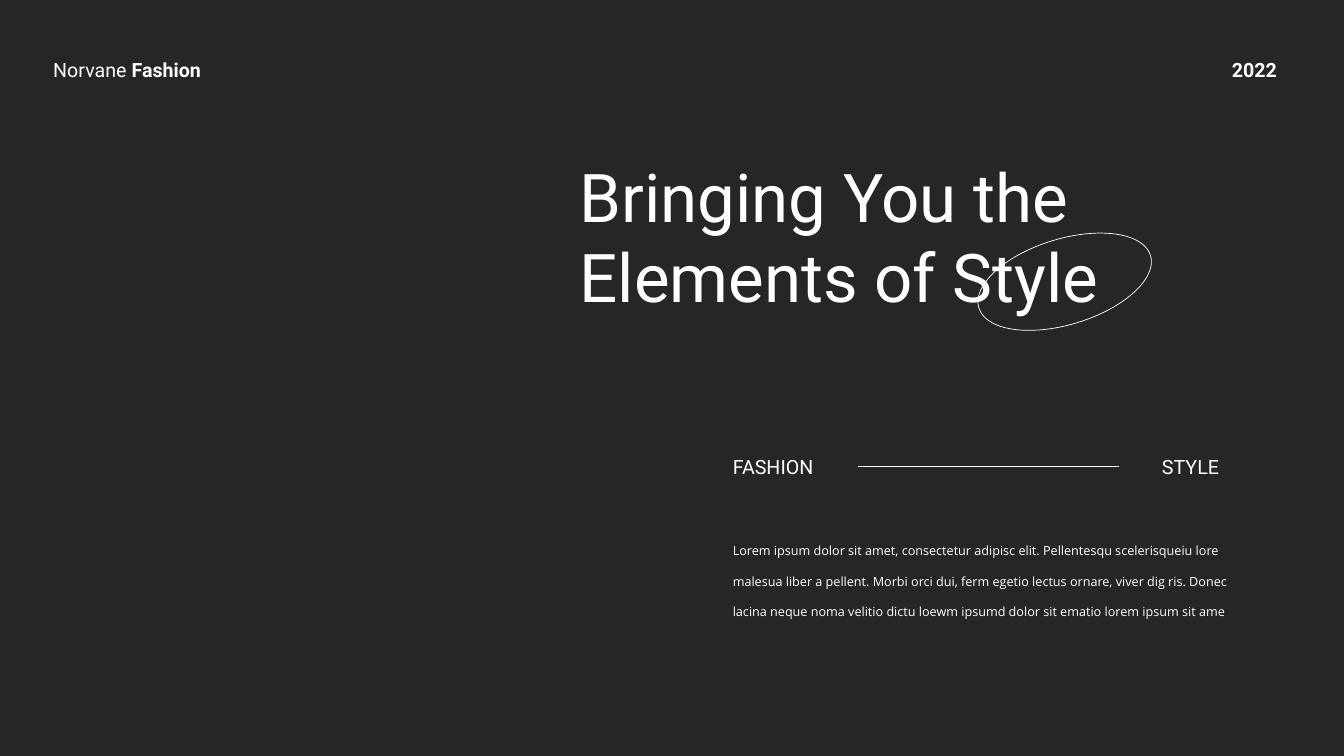
from pptx import Presentation
from pptx.dml.color import RGBColor
from pptx.enum.shapes import MSO_CONNECTOR, MSO_SHAPE
from pptx.enum.text import MSO_AUTO_SIZE, PP_ALIGN
from pptx.oxml.ns import qn
from pptx.util import Inches, Pt
from lxml.etree import SubElement


def color(value):
    return RGBColor.from_string(value)


class Deck:
    background = "262626"
    ink = "FFFFFF"
    heading_font = "Roboto"
    body_font = "Open Sans"
    line_width = Pt(0.5)

    def __init__(self, prs):
        self.slide = prs.slides.add_slide(prs.slide_layouts[6])
        fill = self.slide.background.fill
        fill.solid()
        fill.fore_color.rgb = color(self.background)

    def text(self, box, runs, size=14, font=heading_font, wrap=True,
             align=PP_ALIGN.LEFT, spacing=None):
        sp = self.slide.shapes.add_textbox(*map(Inches, box))
        tf = sp.text_frame
        tf.word_wrap = wrap
        tf.auto_size = MSO_AUTO_SIZE.SHAPE_TO_FIT_TEXT
        p = tf.paragraphs[0]
        p.alignment = align
        if spacing:
            p.line_spacing = spacing
        for content, bold in runs:
            r = p.add_run()
            r.text = content
            r.font.size = Pt(size)
            r.font.name = font
            r.font.bold = bold
            r.font.color.rgb = color(self.ink)

    def ellipse(self, box, rotation):
        sp = self.slide.shapes.add_shape(MSO_SHAPE.OVAL, *map(Inches, box))
        sp.rotation = rotation
        sp.shadow.inherit = False
        sp.fill.background()
        self.outline(sp)

    def rule(self, left, right, y):
        ends = map(Inches, (left, y, right, y))
        sp = self.slide.shapes.add_connector(MSO_CONNECTOR.STRAIGHT, *ends)
        self.outline(sp)
        SubElement(sp._element.spPr, qn("a:effectLst"))

    def outline(self, sp):
        sp.line.color.rgb = color(self.ink)
        sp.line.width = self.line_width


def main():
    prs = Presentation()
    prs.slide_width = Inches(13.33)
    prs.slide_height = Inches(7.5)
    deck = Deck(prs)

    deck.text((0.43, 0.53, 1.83, 0.34),
              [("Norvane ", False), ("Fashion", True)], wrap=False)
    deck.text((12.12, 0.53, 0.68, 0.34), [("2022", True)], wrap=False)
    deck.text((5.65, 1.49, 5.97, 1.72),
              [("Bringing You the Elements of Style", False)], size=48)
    deck.ellipse((9.67, 2.37, 1.78, 0.85), 343)

    deck.text((7.17, 4.46, 1.13, 0.34), [("FASHION", False)])
    deck.text((11.06, 4.46, 1.13, 0.34), [("STYLE", False)],
              align=PP_ALIGN.RIGHT)
    body = ("Lorem ipsum dolor sit amet, consectetur adipisc elit. "
            "Pellentesqu scelerisqueiu lore malesua liber a pellent. "
            "Morbi orci dui, ferm egetio lectus ornare, viver dig ris. "
            "Donec lacina neque noma velitio dictu loewm ipsumd dolor "
            "sit ematio lorem ipsum sit ame")
    deck.text((7.17, 5.19, 5.13, 0.97), [(body, False)], size=9,
              font=deck.body_font, spacing=2.0)
    deck.rule(8.51, 11.1, 4.63)

    prs.save("out.pptx")


if __name__ == "__main__":
    main()
